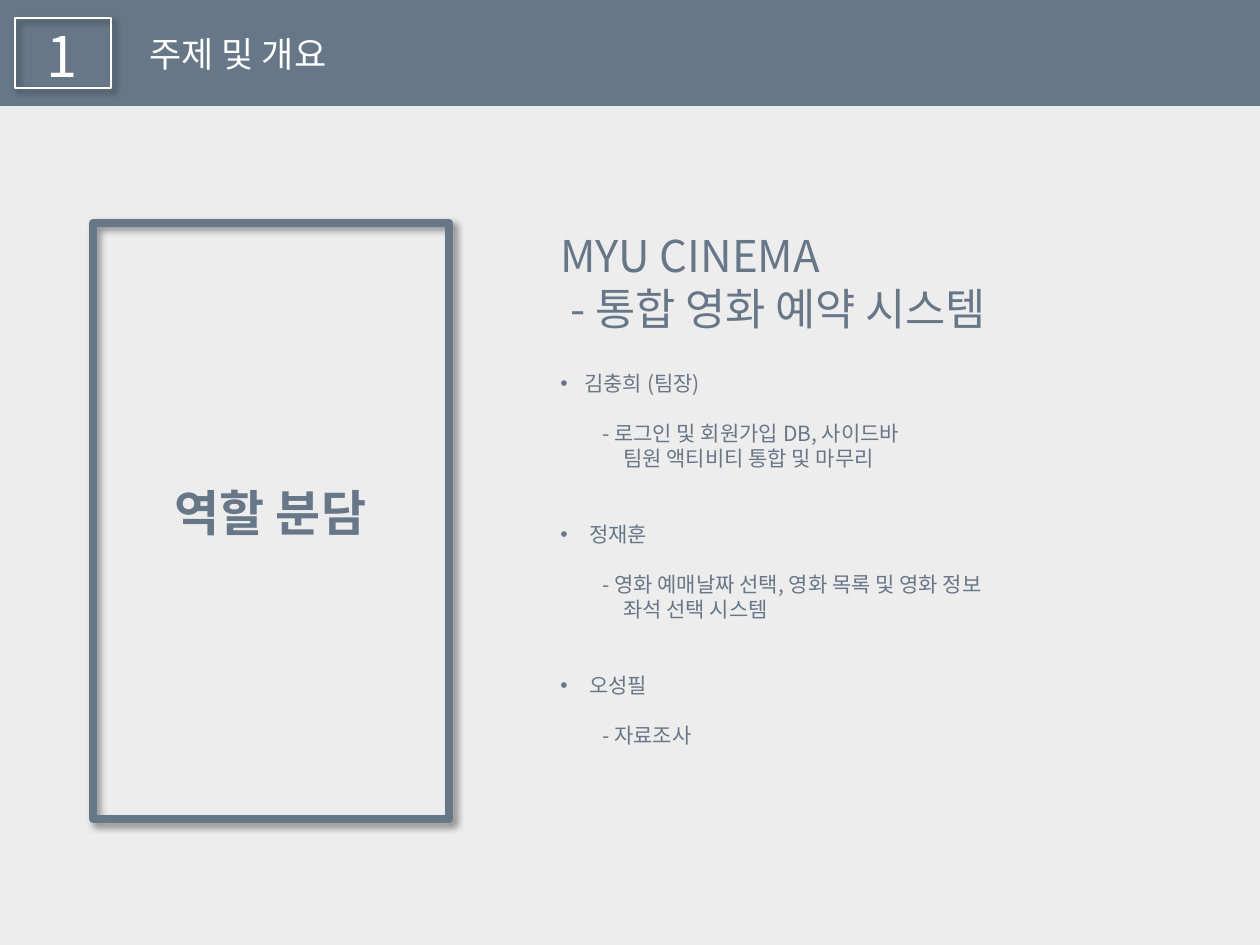
from dataclasses import dataclass

from lxml.etree import SubElement
from pptx import Presentation
from pptx.dml.color import RGBColor as Rgb
from pptx.enum.shapes import MSO_SHAPE as Kind
from pptx.enum.text import MSO_ANCHOR as Anchor, PP_ALIGN as Align
from pptx.oxml.ns import qn
from pptx.util import Pt

SCALE = 914400 / 126


def px(num):
    return round(num * SCALE)


@dataclass(frozen=True)
class Theme:
    slate: str = "677787"
    white: str = "FFFFFF"
    paper: str = "EDEDED"
    shade: str = "000000"
    font: str = "Noto Sans CJK KR"
    number: int = 32
    label: int = 28
    lead: int = 25
    head: int = 20
    body: int = 12
    pitch: float = 1.2


class Deck:
    """Holds the theme and the current slide, and draws each kind of element."""

    def __init__(self, theme):
        self.theme = theme
        self.prs = Presentation()
        self.prs.slide_width, self.prs.slide_height = px(1260), px(945)
        self.slide = self.prs.slides.add_slide(self.prs.slide_layouts[5])
        fill = self.slide.background.fill
        fill.solid()
        fill.fore_color.rgb = Rgb.from_string(theme.paper)

    def rect(self, box):
        shape = self.slide.shapes.add_shape(Kind.RECTANGLE, *map(px, box))
        shape.shadow.inherit = False
        return shape

    def band(self, box):
        shape = self.rect(box)
        shape.fill.solid()
        shape.fill.fore_color.rgb = Rgb.from_string(self.theme.slate)
        shape.line.fill.background()

    def frame(self, box, color, width):
        shape = self.rect(box)
        shape.fill.background()
        shape.line.color.rgb = Rgb.from_string(color)
        shape.line.width = Pt(width)
        effects = shape._element.spPr.find(qn("a:effectLst"))
        shadow = SubElement(effects, qn("a:outerShdw"), blurRad=str(Pt(4)),
                            dist=str(Pt(3)), dir="2700000", algn="tl", rotWithShape="0")
        tint = SubElement(shadow, qn("a:srgbClr"), val=self.theme.shade)
        SubElement(tint, qn("a:alpha"), val="40000")

    def style(self, frame, size, color, bold=False, align=Align.LEFT):
        frame.word_wrap = True
        frame.vertical_anchor = Anchor.TOP
        for par in frame.paragraphs:
            par.alignment = align
            par.line_spacing = Pt(size * self.theme.pitch)
            for run in par.runs:
                font = run.font
                font.name, font.size, font.bold = self.theme.font, Pt(size), bold
                font.color.rgb = Rgb.from_string(color)
                SubElement(run._r.rPr, qn("a:ea"), typeface=self.theme.font)

    def text(self, box, words, size, color, **look):
        frame = self.slide.shapes.add_textbox(*map(px, box)).text_frame
        frame.text = words
        self.style(frame, size, color, **look)
        return frame

    def title(self, box, words, size, color):
        shape = self.slide.shapes.title
        shape.left, shape.top, shape.width, shape.height = map(px, box)
        shape.text_frame.text = words
        self.style(shape.text_frame, size, color)
        shape._element.getparent().append(shape._element)

    def roles(self, box, team):
        size = self.theme.body
        line = Pt(size * self.theme.pitch)
        rows = [(text, rank) for name, tasks in team
                for rank, text in enumerate([name, *tasks])]
        frame = self.text(box, "\n".join(text for text, _ in rows), size, self.theme.slate)
        for spot, (par, (_, rank)) in enumerate(zip(frame.paragraphs, rows)):
            props = par._p.get_or_add_pPr()
            if rank == 0:
                par.space_before = line * 2 if spot else 0
                props.set("marL", str(px(24)))
                props.set("indent", str(px(-24)))
                SubElement(props, qn("a:buFont"), typeface="Arial")
                SubElement(props, qn("a:buChar"), char="•")
            else:
                par.space_before = line if rank == 1 else 0
                props.set("marL", str(px(42 if rank == 1 else 63)))
                props.set("indent", "0")


def main():
    theme = Theme()
    deck = Deck(theme)
    deck.band((0, 0, 1260, 106))
    deck.frame((15, 18, 96, 70), theme.white, 1.5)
    deck.text((34, 15, 84, 79), "1", theme.number, theme.white)
    deck.title((137, 26, 312, 53), "주제 및 개요", theme.head, theme.white)
    deck.frame((93, 223, 356, 596), theme.slate, 4.5)
    deck.text((145, 476, 251, 72), "역할 분담", theme.label, theme.slate,
              bold=True, align=Align.CENTER)
    deck.text((548, 223, 493, 117), "MYU CINEMA\n - 통합 영화 예약 시스템",
              theme.lead, theme.slate)
    deck.roles((548, 364, 601, 391), [
        ("김충희 (팀장)", ["- 로그인 및 회원가입 DB, 사이드바", "팀원 액티비티 통합 및 마무리"]),
        (" 정재훈", ["- 영화 예매날짜 선택, 영화 목록 및 영화 정보", "좌석 선택 시스템"]),
        (" 오성필", ["- 자료조사"]),
    ])
    deck.prs.save("out.pptx")


if __name__ == "__main__":
    main()
